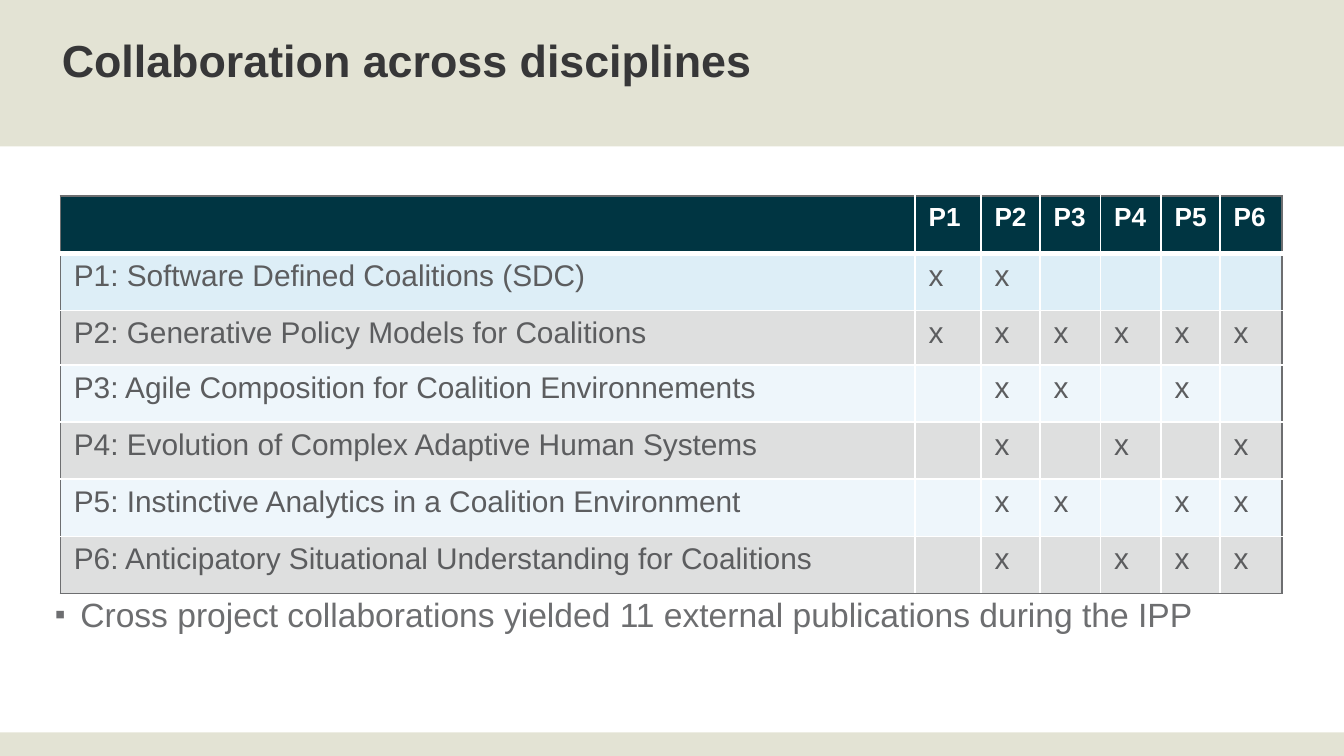
import pptx
import pptx.util
import pptx.dml.color
import pptx.enum.shapes
import pptx.enum.text
import pptx.oxml
import pptx.oxml.ns

Inches = pptx.util.Inches
Pt = pptx.util.Pt
qn = pptx.oxml.ns.qn
RGB = pptx.dml.color.RGBColor.from_string
DRAWING = pptx.oxml.ns.nsdecls("a")

THEME = {
    "font": "Arial",
    "title": {"size": 24, "color": "373738", "bold": True},
    "header": {"size": 14, "color": "FFFFFF", "bold": True},
    "body": {"size": 16, "color": "5C5D5F", "bold": False},
    "bullet": {"size": 18, "color": "6D6E70", "bold": False},
    "band": "6D6E1F",
    "header_fill": "003542",
    "first_fill": "DDEEF7",
    "odd_fill": "EEF6FB",
    "even_fill": "DEDFDF",
    "grid": "FFFFFF",
    "frame": "6D6E70",
}


def write(text_frame, text, style):
    paragraph = text_frame.paragraphs[0]
    paragraph.line_spacing = 0.9
    paragraph.alignment = pptx.enum.text.PP_ALIGN.LEFT
    run = paragraph.add_run()
    run.text = text
    values = {"name": THEME["font"], "size": Pt(style["size"]), "bold": style["bold"]}
    for attribute, value in values.items():
        setattr(run.font, attribute, value)
    run.font.color.rgb = RGB(style["color"])


def add_border(cell, side, color, points):
    line = pptx.oxml.parse_xml(
        f'<a:{side} {DRAWING} w="{Pt(points)}"><a:solidFill>'
        f'<a:srgbClr val="{color}"/></a:solidFill></a:{side}>'
    )
    cell._tc.get_or_add_tcPr().append(line)


# Widescreen slide, 16 to 9
presentation = pptx.Presentation()
presentation.slide_width = Inches(10)
presentation.slide_height = Inches(10 * 9 / 16)
slide = presentation.slides.add_slide(presentation.slide_layouts[5])

# Translucent bands at top and bottom, behind everything else
for top, height in ((0, 1.09), (5.45, 0.18)):
    band = slide.shapes.add_shape(
        pptx.enum.shapes.MSO_SHAPE.RECTANGLE,
        Inches(0), Inches(top), Inches(10), Inches(height),
    )
    band.shadow.inherit = False
    band.line.fill.background()
    band.fill.solid()
    band.fill.fore_color.rgb = RGB(THEME["band"])
    band_color = band._element.spPr.find(f'{qn("a:solidFill")}/{qn("a:srgbClr")}')
    band_color.append(pptx.oxml.parse_xml(f'<a:alpha {DRAWING} val="19000"/>'))
    slide.shapes._spTree.insert(2, band._element)

# Title
title = slide.shapes.title
placement = {"left": 0.36, "top": 0.24, "width": 9.5, "height": 0.43}
for attribute, value in placement.items():
    setattr(title, attribute, Inches(value))
title.text_frame.vertical_anchor = pptx.enum.text.MSO_ANCHOR.TOP
title.text_frame.auto_size = pptx.enum.text.MSO_AUTO_SIZE.NONE
write(title.text_frame, "Collaboration across disciplines", THEME["title"])

# Project matrix: each project with the projects it works with
projects = [
    ("Software Defined Coalitions (SDC)", (1, 2)),
    ("Generative Policy Models for Coalitions", (1, 2, 3, 4, 5, 6)),
    ("Agile Composition for Coalition Environnements", (2, 3, 5)),
    ("Evolution of Complex Adaptive Human Systems", (2, 4, 6)),
    ("Instinctive Analytics in a Coalition Environment", (2, 3, 5, 6)),
    ("Anticipatory Situational Understanding for Coalitions", (2, 4, 5, 6)),
]
numbers = range(1, len(projects) + 1)
rows = [[""] + [f"P{number}" for number in numbers]]
for number, (name, partners) in enumerate(projects, 1):
    marks = ["x" if partner in partners else "" for partner in numbers]
    rows.append([f"P{number}: {name}"] + marks)

column_widths = (6.36, 0.49, 0.44, 0.45, 0.45, 0.44, 0.46)
last_row, last_column = len(rows) - 1, len(column_widths) - 1
matrix = slide.shapes.add_table(
    len(rows), len(column_widths),
    Inches(0.45), Inches(1.46), Inches(sum(column_widths)), Inches(2.84),
).table
for column, width in zip(matrix.columns, column_widths):
    column.width = Inches(width)

for r, row in enumerate(rows):
    if r == 0:
        fill = THEME["header_fill"]
    elif r == 1:
        fill = THEME["first_fill"]
    else:
        fill = THEME["odd_fill"] if r % 2 else THEME["even_fill"]
    for c, text in enumerate(row):
        cell = matrix.cell(r, c)
        cell.margin_top = Inches(0.07)
        if text:
            write(cell.text_frame, text, THEME["body" if r else "header"])
        on_edge = {"lnL": c == 0, "lnR": c == last_column,
                   "lnT": r == 0, "lnB": r == last_row}
        for side, outer in on_edge.items():
            under_header = (r == 0 and side == "lnB") or (r == 1 and side == "lnT")
            add_border(cell, side, THEME["frame" if outer else "grid"],
                       3 if under_header else 1)
        cell.fill.solid()
        cell.fill.fore_color.rgb = RGB(fill)

# Closing bullet
closing = slide.shapes.add_textbox(Inches(0.31), Inches(4.4), Inches(9.5), Inches(0.65))
closing.text_frame.word_wrap = True
bullet_format = closing.text_frame.paragraphs[0]._p.get_or_add_pPr()
bullet_format.set("marL", str(Inches(0.19)))
bullet_format.set("indent", str(Inches(-0.19)))
for tag, inner in (
    ("buClr", f'><a:srgbClr val="{THEME["bullet"]["color"]}"/></a:buClr>'),
    ("buSzPct", ' val="90000"/>'),
    ("buFont", f' typeface="{THEME["font"]}"/>'),
    ("buChar", ' char="▪"/>'),
):
    bullet_format.append(pptx.oxml.parse_xml(f"<a:{tag} {DRAWING}{inner}"))
write(closing.text_frame,
      "Cross project collaborations yielded 11 external publications during the IPP",
      THEME["bullet"])

presentation.save("out.pptx")
